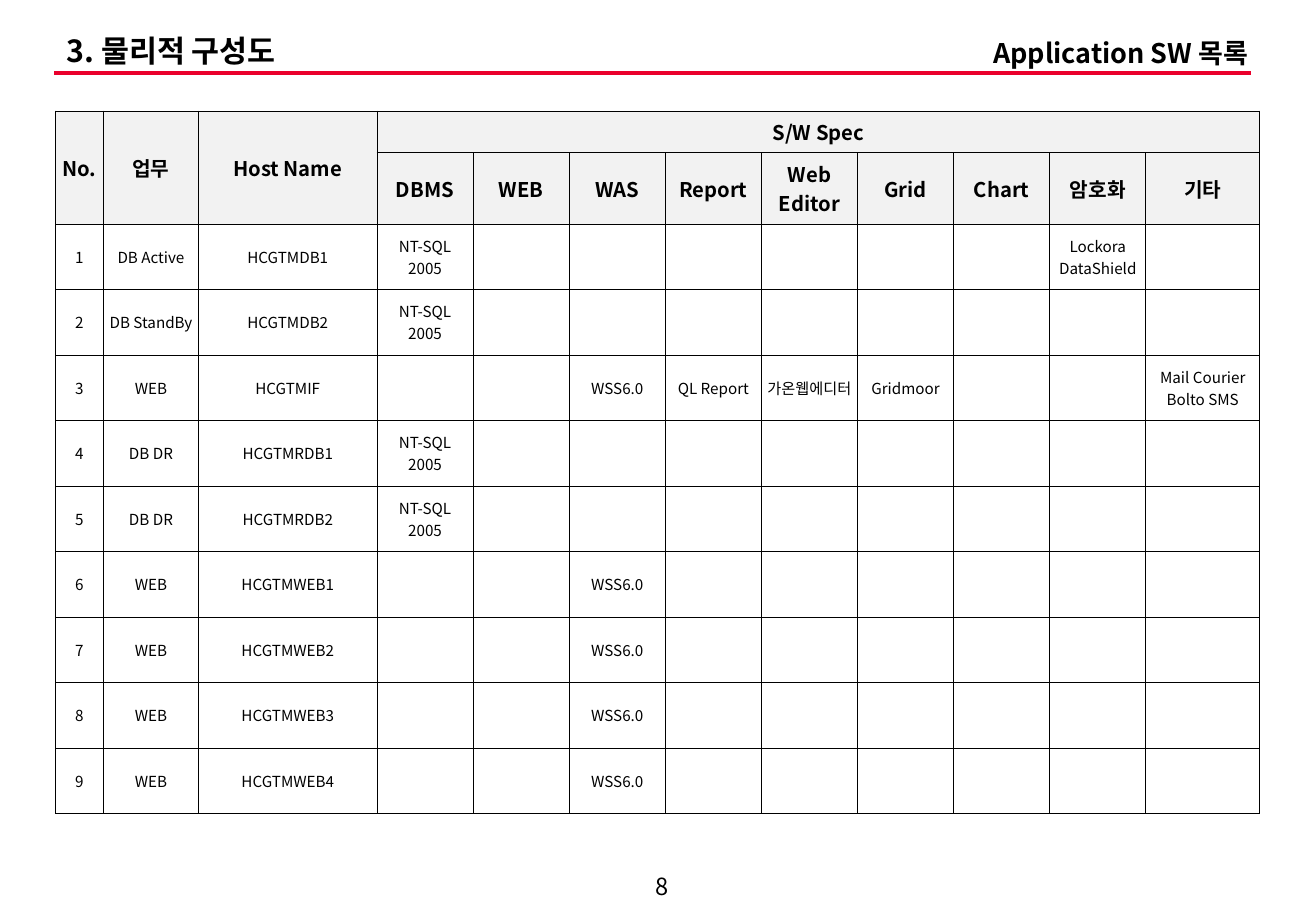
from lxml.etree import SubElement
from pptx import Presentation
from pptx.dml.color import RGBColor
from pptx.enum.shapes import MSO_CONNECTOR
from pptx.enum.text import MSO_ANCHOR, MSO_AUTO_SIZE, PP_ALIGN
from pptx.oxml.ns import qn
from pptx.util import Cm, Pt

COLORS = {"text": "000000", "rule": "EA002C", "header": "F2F2F2", "body": "FFFFFF", "border": "000000"}
COLUMN_WIDTHS = [1.0, 1.99, 3.73] + [2.01] * 8 + [2.38]
ROW_HEIGHTS = [0.79, 0.99] + [1.37] * 9
GROUP_HEADERS = ["No.", "업무", "Host Name", "S/W Spec"]
SPEC_HEADERS = ["DBMS", "WEB", "WAS", "Report", "Web Editor", "Grid", "Chart", "암호화", "기타"]
DATABASE = {"DBMS": "NT-SQL\n2005"}
WEB_SERVER = {"WAS": "WSS6.0"}
SERVERS = [
    ("DB Active", "HCGTMDB1", {**DATABASE, "암호화": "Lockora\nDataShield"}),
    ("DB StandBy", "HCGTMDB2", DATABASE),
    ("WEB", "HCGTMIF", {**WEB_SERVER, "Report": "QL Report", "Web Editor": "가온웹에디터",
                        "Grid": "Gridmoor", "기타": "Mail Courier\nBolto SMS"}),
    ("DB DR", "HCGTMRDB1", DATABASE),
    ("DB DR", "HCGTMRDB2", DATABASE),
] + [("WEB", f"HCGTMWEB{number}", WEB_SERVER) for number in range(1, 5)]


class SlideBuilder:
    """Holds the style and the current slide, and adds elements to it."""

    def __init__(self, deck, font="Noto Sans CJK KR"):
        self.page = deck.slides.add_slide(deck.slide_layouts[5])
        self.font = font

    def color(self, name):
        return RGBColor.from_string(COLORS[name])

    def add_lines(self, frame, text, size, bold=False, align=PP_ALIGN.CENTER, line_spacing=1.0):
        for index, line in enumerate(text.split("\n")):
            para = frame.add_paragraph() if index else frame.paragraphs[0]
            para.alignment = align
            para.line_spacing = line_spacing
            if not line:
                SubElement(para._p, qn("a:endParaRPr"), sz=str(size * 100))
                continue
            span = para.add_run()
            span.text = line
            span.font.name = self.font
            span.font.size = Pt(size)
            span.font.bold = bold
            span.font.color.rgb = self.color("text")
            SubElement(span.font._element, qn("a:ea"), typeface=self.font)

    def fit(self, box, left, top, width, height):
        box.left, box.top, box.width, box.height = Cm(left), Cm(top), Cm(width), Cm(height)
        frame = box.text_frame
        frame.word_wrap = True
        frame.auto_size = MSO_AUTO_SIZE.NONE
        frame.vertical_anchor = MSO_ANCHOR.MIDDLE
        frame.margin_left = frame.margin_right = Cm(0.25)
        frame.margin_top = frame.margin_bottom = Cm(0.13)
        return frame

    def title(self, text, *place):
        frame = self.fit(self.page.shapes.title, *place)
        self.add_lines(frame, text, 18, True, PP_ALIGN.LEFT, 0.9)

    def text(self, text, size, *place, **style):
        box = self.page.shapes.add_textbox(0, 0, 0, 0)
        self.add_lines(self.fit(box, *place), text, size, **style)

    def rule(self, left, right, top):
        line = self.page.shapes.add_connector(MSO_CONNECTOR.STRAIGHT, Cm(left), Cm(top), Cm(right), Cm(top))
        line.line.color.rgb = self.color("rule")
        line.line.width = Pt(2.25)
        SubElement(line._element.spPr, qn("a:effectLst"))

    def cell(self, cell, text, header):
        cell.margin_left = cell.margin_right = 0
        cell.margin_top = cell.margin_bottom = Cm(0.13)
        cell.vertical_anchor = MSO_ANCHOR.MIDDLE
        properties = cell._tc.get_or_add_tcPr()
        for side in ("lnL", "lnR", "lnT", "lnB"):
            border = SubElement(properties, qn(f"a:{side}"), w=str(Pt(0.5)))
            fill = SubElement(border, qn("a:solidFill"))
            SubElement(fill, qn("a:srgbClr"), val=COLORS["border"])
        cell.fill.solid()
        cell.fill.fore_color.rgb = self.color("header" if header else "body")
        self.add_lines(cell.text_frame, text, 12 if header else 9, header)

    def table(self, rows, left, top, header_rows=2):
        frame = self.page.shapes.add_table(len(rows), len(COLUMN_WIDTHS), Cm(left), Cm(top),
                                           Cm(sum(COLUMN_WIDTHS)), Cm(sum(ROW_HEIGHTS)))
        table = frame.table
        table.first_row = table.horz_banding = False
        for column, width in zip(table.columns, COLUMN_WIDTHS):
            column.width = Cm(width)
        for row, height in zip(table.rows, ROW_HEIGHTS):
            row.height = Cm(height)
        for row_index, texts in enumerate(rows):
            for column_index, text in enumerate(texts):
                self.cell(table.cell(row_index, column_index), text, row_index < header_rows)
        return table


def main():
    deck = Presentation()
    deck.slide_width, deck.slide_height = Cm(27.51), Cm(19.05)
    builder = SlideBuilder(deck)
    builder.title("3. 물리적 구성도", 1.14, 0.64, 24.2, 0.94)
    builder.rule(1.14, 26.16, 1.52)
    builder.text("Application SW 목록", 16, 19.38, 0.64, 6.96, 0.94, bold=True, align=PP_ALIGN.RIGHT)

    rows = [GROUP_HEADERS + [""] * 8, [""] * 3 + SPEC_HEADERS]
    for number, (task, host, software) in enumerate(SERVERS, 1):
        rows.append([str(number), task, host] + [software.get(name, "") for name in SPEC_HEADERS])
    table = builder.table(rows, 1.16, 2.32)
    for column in range(3):
        table.cell(0, column).merge(table.cell(1, column))
    table.cell(0, 3).merge(table.cell(0, 11))

    builder.text("8", 14, 12.95, 18.14, 1.8, 0.79)
    deck.save("out.pptx")


if __name__ == "__main__":
    main()
